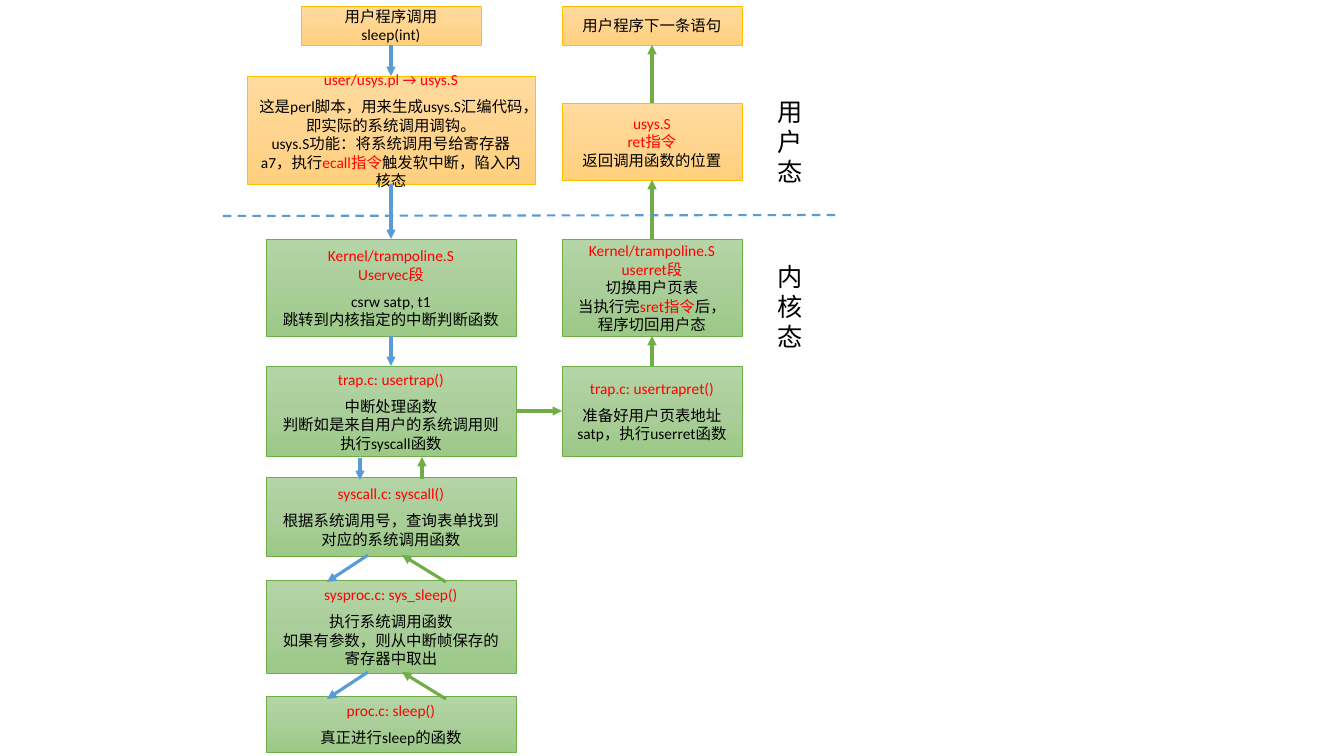
from copy import deepcopy

from pptx import Presentation
from pptx.dml.color import RGBColor
from pptx.enum.dml import MSO_LINE
from pptx.enum.shapes import MSO_CONNECTOR, MSO_SHAPE
from pptx.enum.text import MSO_ANCHOR, PP_ALIGN
from pptx.oxml.ns import qn
from pptx.util import Pt
from lxml.etree import SubElement

BLACK = RGBColor(0x00, 0x00, 0x00)
RED = RGBColor(0xFF, 0x00, 0x00)
BLUE = RGBColor(0x5B, 0x9B, 0xD5)
GREEN = RGBColor(0x70, 0xAD, 0x47)
GOLD = RGBColor(0xFF, 0xC0, 0x00)
USER_FILL = (RGBColor(0xFF, 0xDB, 0x9E), RGBColor(0xFF, 0xD5, 0x90), RGBColor(0xFF, 0xD0, 0x7C))
KERNEL_FILL = (RGBColor(0xB5, 0xD5, 0xA7), RGBColor(0xAA, 0xCE, 0x9A), RGBColor(0x9C, 0xC9, 0x87))
USER = (USER_FILL, GOLD)
KERNEL = (KERNEL_FILL, GREEN)
FONT = "Calibri"
CALL_X, RETURN_X = 391, 652  # column centres
NARROW, WIDE = 180, 250

# name: (centre x, top, width, height, style, points after title, red title lines, body lines)
# In a body line, text between bars is red.
BOXES = {
    "call": (CALL_X, 6, NARROW, 39, USER, 0, [], ["用户程序调用", "sleep(int)"]),
    "hook": (CALL_X, 76, 288, 108, USER, 6, ["user/usys.pl → usys.S"],
             ["这是perl脚本，用来生成usys.S汇编代码，即实际的系统调用调钩。",
              "usys.S功能：将系统调用号给寄存器a7，执行|ecall指令|触发软中断，陷入内核态"]),
    "uservec": (CALL_X, 239, WIDE, 97, KERNEL, 6, ["Kernel/trampoline.S", "Uservec段"],
                ["csrw satp, t1", "跳转到内核指定的中断判断函数"]),
    "usertrap": (CALL_X, 366, WIDE, 90, KERNEL, 6, ["trap.c: usertrap()"],
                 ["中断处理函数", "判断如是来自用户的系统调用则执行syscall函数"]),
    "syscall": (CALL_X, 477, WIDE, 79, KERNEL, 6, ["syscall.c: syscall()"],
                ["根据系统调用号，查询表单找到对应的系统调用函数"]),
    "sys_sleep": (CALL_X, 580, WIDE, 93, KERNEL, 6, ["sysproc.c: sys_sleep()"],
                  ["执行系统调用函数", "如果有参数，则从中断帧保存的寄存器中取出"]),
    "sleep": (CALL_X, 696, WIDE, 56, KERNEL, 6, ["proc.c: sleep()"], ["真正进行sleep的函数"]),
    "usertrapret": (RETURN_X, 366, NARROW, 90, KERNEL, 6, ["trap.c: usertrapret()"],
                    ["准备好用户页表地址satp，执行userret函数"]),
    "userret": (RETURN_X, 239, NARROW, 97, KERNEL, 0, ["Kernel/trampoline.S", "userret段"],
                ["切换用户页表", "当执行完|sret指令|后，程序切回用户态"]),
    "ret": (RETURN_X, 103, NARROW, 77, USER, 0, ["usys.S", "ret指令"], ["返回调用函数的位置"]),
    "next": (RETURN_X, 6, NARROW, 39, USER, 0, [], ["用户程序下一条语句"]),
}
TOP, LEFT, BOTTOM, RIGHT = range(4)
JOINS = [
    ("call", BOTTOM, "hook", TOP, BLUE),
    ("hook", BOTTOM, "uservec", TOP, BLUE),
    ("uservec", BOTTOM, "usertrap", TOP, BLUE),
    ("usertrap", RIGHT, "usertrapret", LEFT, GREEN),
    ("usertrapret", TOP, "userret", BOTTOM, GREEN),
    ("userret", TOP, "ret", BOTTOM, GREEN),
    ("ret", TOP, "next", BOTTOM, GREEN),
]
FREE_ARROWS = [((360, 458), (360, 480), BLUE), ((422, 479), (422, 457), GREEN)]
for y in (555, 672):
    FREE_ARROWS += [((368, y), (327, y + 27), BLUE), ((446, y + 27), (402, y), GREEN)]
BORDER = ((223, 216), (838, 215))
LABELS = [("用户态", 91), ("内核态", 256)]
LABEL_X, LABEL_W, LABEL_H = 768, 53, 102


def px(n):
    return round(n * 914400 / 100.8)


def add_run(p, text, size, color):
    r = p.add_run()
    r.text = text
    r.font.name, r.font.size = FONT, Pt(size)
    r.font.color.rgb = color


def set_gradient(fill, sp, colors):
    """Fill from top to bottom with evenly spaced colours."""
    fill.gradient()
    fill.gradient_angle = 270
    stops = sp.element.spPr.find(qn("a:gradFill")).find(qn("a:gsLst"))
    stops.append(deepcopy(stops[-1]))
    for i, (stop, color) in enumerate(zip(fill.gradient_stops, colors)):
        stop.position = i / (len(colors) - 1)
        stop.color.rgb = color


def add_box(s, center, top, width, height, style, gap, title, body):
    sp = s.shapes.add_shape(MSO_SHAPE.RECTANGLE, px(center - width / 2), px(top), px(width), px(height))
    sp.shadow.inherit = False
    colors, edge = style
    set_gradient(sp.fill, sp, colors)
    sp.line.color.rgb, sp.line.width = edge, Pt(0.5)
    tf = sp.text_frame
    tf.word_wrap = True
    tf.vertical_anchor = MSO_ANCHOR.MIDDLE
    for i, line in enumerate(title + body):
        p = tf.add_paragraph() if i else tf.paragraphs[0]
        p.alignment = PP_ALIGN.CENTER
        if gap and i == len(title) - 1:
            p.space_after = Pt(gap)
        for j, text in enumerate(line.split("|")):
            add_run(p, text, 11, RED if i < len(title) or j % 2 else BLACK)
    return sp


def add_line(s, start, end, color, width=2.25, arrow=True):
    c = s.shapes.add_connector(MSO_CONNECTOR.STRAIGHT, *map(px, start + end))
    c.line.color.rgb, c.line.width = color, Pt(width)
    if arrow:
        SubElement(c.line._get_or_add_ln(), qn("a:tailEnd"), type="triangle")
    SubElement(c.element.spPr, qn("a:effectLst"))
    return c


def main():
    prs = Presentation()
    prs.slide_width, prs.slide_height = px(1344), px(756)
    s = prs.slides.add_slide(prs.slide_layouts[6])

    boxes = {name: add_box(s, *box) for name, box in BOXES.items()}
    for source, out_side, target, in_side, color in JOINS:
        c = add_line(s, (0, 0), (0, 0), color)
        c.begin_connect(boxes[source], out_side)
        c.end_connect(boxes[target], in_side)
    for start, end, color in FREE_ARROWS:
        add_line(s, start, end, color)
    border = add_line(s, *BORDER, BLUE, 1.5, arrow=False)
    border.line.dash_style = MSO_LINE.DASH

    for text, top in LABELS:
        tf = s.shapes.add_textbox(px(LABEL_X), px(top), px(LABEL_W), px(LABEL_H)).text_frame
        tf.word_wrap = True
        add_run(tf.paragraphs[0], text, 18, BLACK)

    prs.save("out.pptx")


if __name__ == "__main__":
    main()
